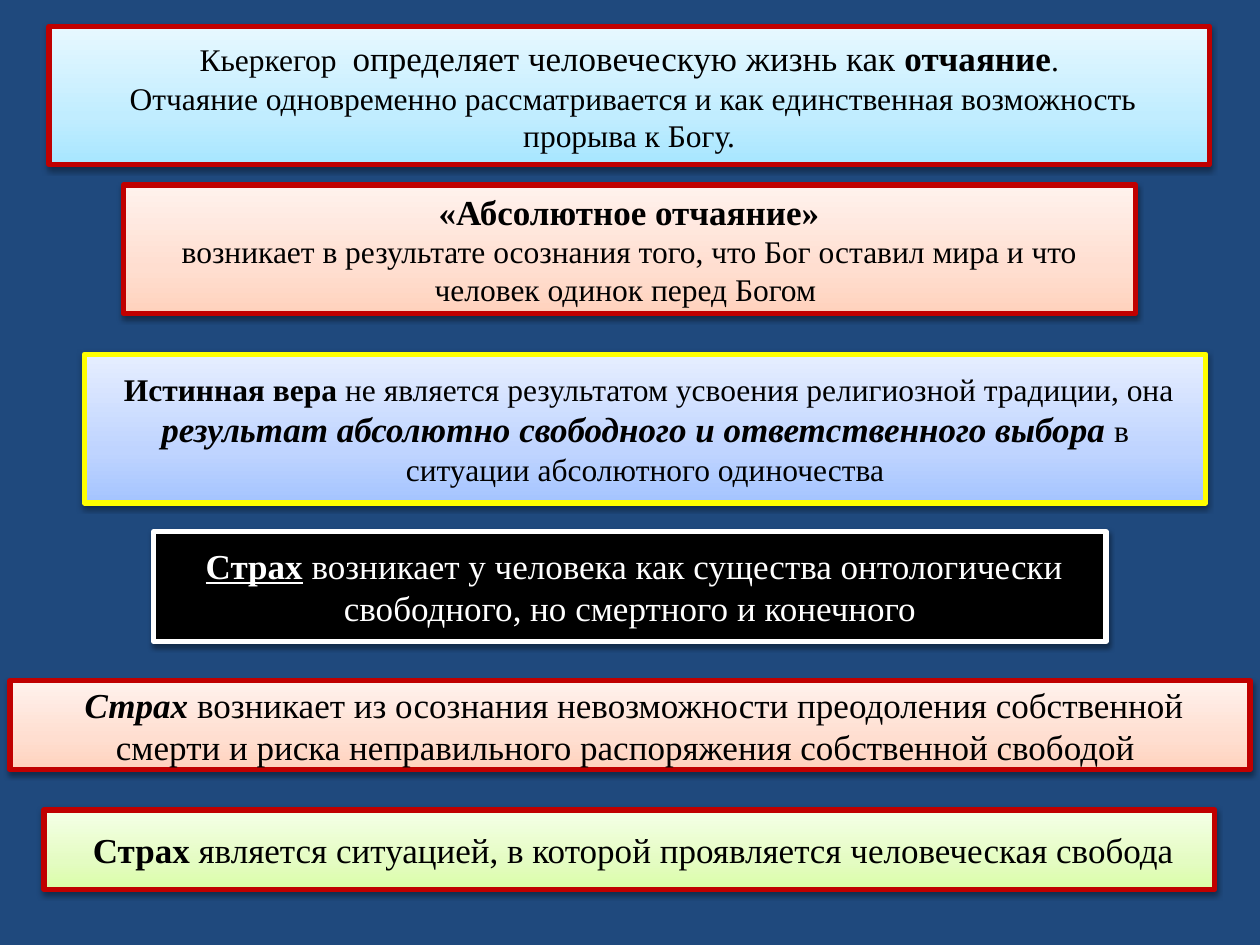
from copy import deepcopy
from lxml.etree import SubElement
from pptx import Presentation
from pptx.dml.color import RGBColor
from pptx.enum.shapes import MSO_SHAPE
from pptx.enum.text import MSO_ANCHOR, PP_ALIGN
from pptx.oxml.ns import qn
from pptx.util import Cm, Pt

PEACH = ("FFD2BD", "FFDED0", "FFF2ED")
SKY = ("A7E6FF", "C1EDFF", "E7F8FF")
BLUE = ("A4C4FF", "BFD4FF", "E6EEFF")
LIME = ("DAFDA7", "E4FCC2", "F5FFE7")
RED = "C00000"


def color(code):
    return RGBColor.from_string(code)


class Deck:
    font = "Times New Roman"
    border = 3

    def __init__(self):
        self.prs = Presentation()
        self.prs.slide_width = Cm(25.4)
        self.prs.slide_height = Cm(19.05)
        self.slide = self.prs.slides.add_slide(self.prs.slide_layouts[6])
        back = self.slide.background.fill
        back.solid()
        back.fore_color.rgb = color("1F497D")

    def blend(self, shape, tones):
        fill = shape.fill
        fill.gradient()
        fill.gradient_angle = 90
        stops = shape._element.spPr.find(qn("a:gradFill")).find(qn("a:gsLst"))
        stops.insert(1, deepcopy(stops[0]))
        for stop, tone, place in zip(fill.gradient_stops, tones, (0, 0.35, 1)):
            stop.color.rgb = color(tone)
            stop.position = place

    def shade(self, shape):
        shape.shadow.inherit = False
        effect = shape._element.spPr.find(qn("a:effectLst"))
        outer = SubElement(effect, qn("a:outerShdw"), blurRad=str(Pt(3.1)),
                           dist=str(Pt(1.6)), dir="5400000", rotWithShape="0")
        tint = SubElement(outer, qn("a:srgbClr"), val="000000")
        SubElement(tint, qn("a:alpha"), val="38000")

    def words(self, para, parts, ink):
        para.alignment = PP_ALIGN.CENTER
        for text, size, marks in parts:
            run = para.add_run()
            run.text = text
            font = run.font
            font.name = self.font
            font.size = Pt(size)
            font.color.rgb = color(ink)
            font.bold = "b" in marks
            font.italic = "i" in marks
            font.underline = "u" in marks

    def panel(self, place, tones, edge, paras, ink="000000"):
        shape = self.slide.shapes.add_shape(
            MSO_SHAPE.RECTANGLE, *(Cm(n) for n in place))
        if isinstance(tones, str):
            shape.fill.solid()
            shape.fill.fore_color.rgb = color(tones)
        else:
            self.blend(shape, tones)
        shape.line.color.rgb = color(edge)
        shape.line.width = Pt(self.border)
        self.shade(shape)
        frame = shape.text_frame
        frame.word_wrap = True
        frame.vertical_anchor = MSO_ANCHOR.MIDDLE
        for n, parts in enumerate(paras):
            para = frame.add_paragraph() if n else frame.paragraphs[0]
            self.words(para, parts, ink)

    def save(self):
        self.prs.save("out.pptx")


def main():
    deck = Deck()
    deck.panel((0.99, 0.53, 23.39, 2.79), SKY, RED, [
        [("Кьеркегор  ", 18, ""),
         ("определяет человеческую жизнь как ", 20, ""),
         ("отчаяние", 20, "b"),
         (".", 18, "")],
        [(" Отчаяние одновременно рассматривается и как единственная "
          "возможность прорыва к Богу.", 18, "")],
    ])
    deck.panel((2.49, 3.73, 20.4, 2.59), PEACH, RED, [
        [(" ", 18, "b"), ("«Абсолютное отчаяние» ", 20, "b")],
        [("возникает в результате осознания того, что Бог оставил мира "
          "и что человек одинок перед Богом ", 18, "")],
    ])
    deck.panel((1.7, 7.14, 22.61, 3), BLUE, "FFFF00", [
        [(" ", 18, "bi"),
         ("Истинная вера ", 18, "b"),
         ("не является результатом усвоения религиозной традиции, она ",
          18, ""),
         ("результат абсолютно свободного и ответственного выбора ",
          20, "bi"),
         ("в ситуации абсолютного одиночества", 18, "")],
    ])
    deck.panel((3.1, 10.72, 19.2, 2.21), "000000", "FFFFFF", [
        [(" ", 20, ""),
         ("Страх", 20, "bu"),
         (" ", 20, "bi"),
         ("возникает у человека как существа онтологически свободного, "
          "но смертного и конечного", 20, "")],
    ], "FFFFFF")
    deck.panel((0.2, 13.72, 25, 1.8), PEACH, RED, [
        [(" ", 20, ""),
         ("Страх", 20, "bi"),
         (" возникает из осознания невозможности преодоления собственной "
          "смерти и риска неправильного распоряжения собственной свободой ",
          20, "")],
    ])
    deck.panel((0.89, 16.33, 23.6, 1.6), LIME, RED, [
        [(" ", 18, "b"),
         ("Страх ", 20, "b"),
         ("является ситуацией, в которой проявляется человеческая свобода",
          20, "")],
    ])
    deck.save()


if __name__ == "__main__":
    main()
